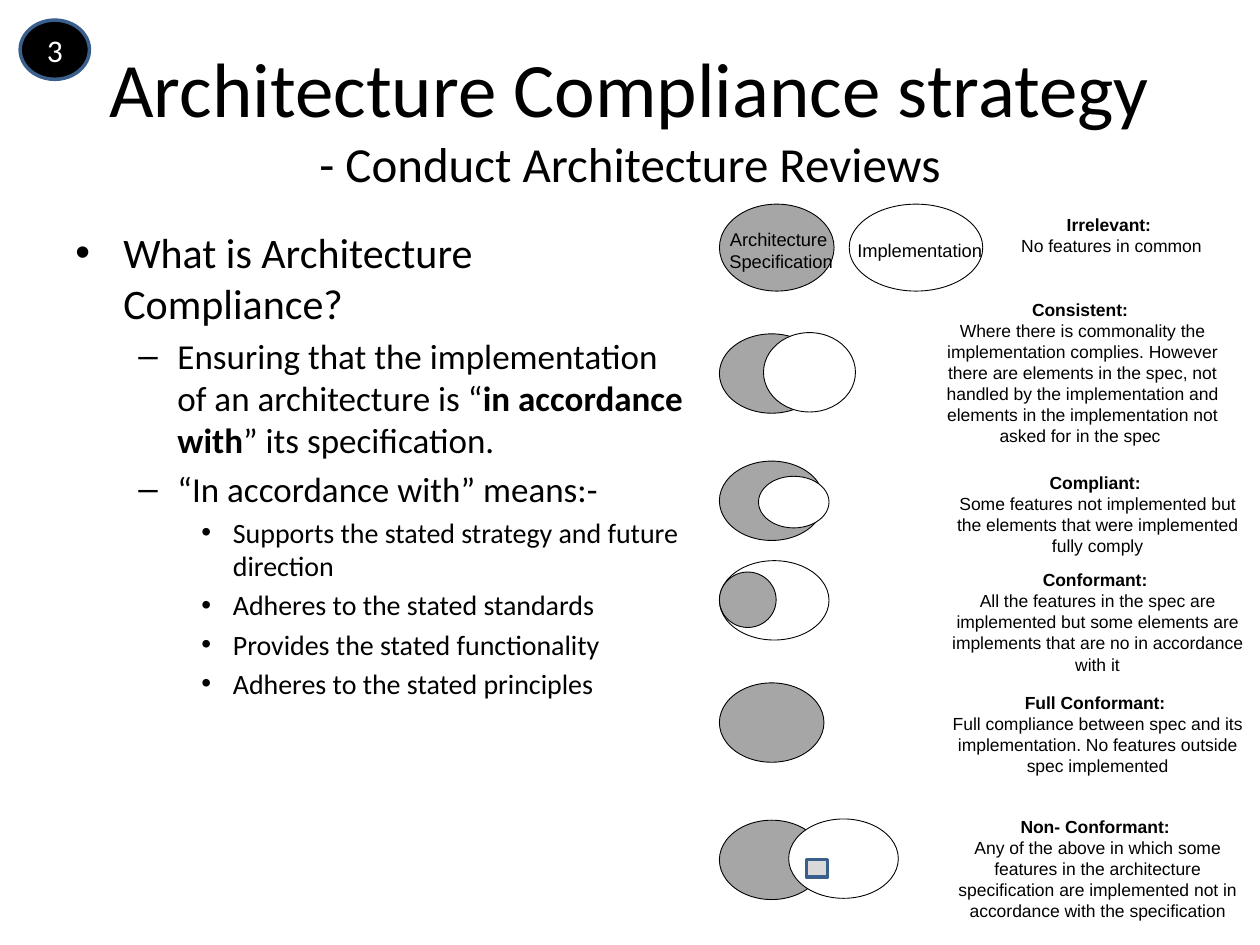
from lxml import etree
from pptx import Presentation
from pptx import util as u
from pptx.dml.color import RGBColor
from pptx.enum import shapes, text
from pptx.oxml.ns import qn

COLOURS = {"ink": "000000", "paper": "FFFFFF", "spec": "A6A6A6",
           "overlap": "D9D9D9", "accent": "3A5F8C"}
OVAL = shapes.MSO_SHAPE.OVAL
RECTANGLE = shapes.MSO_SHAPE.RECTANGLE
DIAGRAM_LEFT = 5.71

# left indent, hanging indent, size, bullet for each level
LEVELS = [(0.38, 0.38, 24, "•"), (0.81, 0.31, 20, "–"), (1.25, 0.25, 16, "•")]
BODY = [
    (0, [("What is Architecture Compliance?", False)]),
    (1, [("Ensuring that the implementation of an architecture is “", False),
         ("in accordance with", True), ("” its specification.", False)]),
    (1, [("“In accordance with” means:-", False)]),
    (2, [("Supports the stated strategy and future direction", False)]),
    (2, [("Adheres to the stated standards", False)]),
    (2, [("Provides the stated functionality", False)]),
    (2, [("Adheres to the stated principles", False)]),
]

# Each case: top, ovals (dx, dy, width, height, fill), then its caption
# (left, top, width, height, wrap, heading, paragraphs)
CASES = [
    (1.62, [(0, 0, 0.91, 0.69, "spec"), (1.03, 0, 1.06, 0.69, None)],
     (8, 1.65, 1.64, 0.44, False, "Irrelevant: ", ["No features in common"])),
    (2.65, [(0, 0, 0.83, 0.63, "spec"), (0.35, -0.01, 0.73, 0.63, "paper")],
     (7.3, 2.32, 2.58, 1.28, True, "Consistent: ",
      ["Where there is commonality the implementation complies. However there "
       "are elements in the spec, not handled by the implementation and "
       "elements in the implementation not asked for in the spec "])),
    (3.66, [(0, 0, 0.83, 0.63, "spec"), (0.31, 0.12, 0.56, 0.41, "paper")],
     (7.42, 3.7, 2.58, 0.77, True, "Compliant: ",
      ["Some features not implemented but the elements that were implemented "
       "fully comply"])),
    (4.45, [(0, 0, 0.87, 0.63, "paper"), (0, 0.09, 0.45, 0.44, "spec")],
     (7.42, 4.47, 2.58, 0.94, True, "Conformant: ",
      ["All the features in the spec are implemented but some elements are "
       "implements that are no in accordance with it"])),
    (5.42, [(0, 0, 0.83, 0.63, "spec")],
     (7.42, 5.44, 2.58, 0.77, True, "Full Conformant: ",
      ["Full compliance between spec and its implementation. No features "
       "outside spec implemented"])),
    (6.51, [(0, 0, 0.83, 0.63, "spec"), (0.55, -0.01, 0.87, 0.63, "paper")],
     (7.42, 6.43, 2.58, 0.94, True, "Non- Conformant: ",
      ["Any of the above in which some features in the architecture "
       "specification are implemented not in",
       "accordance with the specification"])),
]


def colour(name):
    return RGBColor.from_string(COLOURS[name])


def add_run(paragraph, content, size, font="Calibri", ink="ink", bold=False):
    run = paragraph.add_run()
    run.text = content
    values = {"name": font, "size": u.Pt(size), "bold": bold}
    for name, value in values.items():
        setattr(run.font, name, value)
    run.font.color.rgb = colour(ink)


def add_figure(slide, kind, box, fill, line="ink", width=0.5):
    shape = slide.shapes.add_shape(kind, *map(u.Inches, box))
    shape.shadow.inherit = False
    if fill:
        shape.fill.solid()
        shape.fill.fore_color.rgb = colour(fill)
    else:
        shape.fill.background()
    shape.line.color.rgb = colour(line)
    shape.line.width = u.Pt(width)
    return shape


def add_text_frame(slide, box, wrap=True, anchor=text.MSO_ANCHOR.TOP):
    frame = slide.shapes.add_textbox(*map(u.Inches, box)).text_frame
    values = {"word_wrap": wrap, "vertical_anchor": anchor}
    for name, value in values.items():
        setattr(frame, name, value)
    return frame


def add_centred_lines(slide, box, wrap, size, lines):
    frame = add_text_frame(slide, box, wrap)
    frame.auto_size = text.MSO_AUTO_SIZE.SHAPE_TO_FIT_TEXT
    for index, (content, bold) in enumerate(lines):
        paragraph = frame.add_paragraph() if index else frame.paragraphs[0]
        paragraph.alignment = text.PP_ALIGN.CENTER
        add_run(paragraph, content, size, "Arial", bold=bold)


def add_title(slide, box):
    frame = add_text_frame(slide, box, anchor=text.MSO_ANCHOR.MIDDLE)
    paragraph = frame.paragraphs[0]
    paragraph.alignment = text.PP_ALIGN.CENTER
    add_run(paragraph, "Architecture Compliance strategy", 44)
    paragraph.add_line_break()
    add_run(paragraph, "- Conduct Architecture Reviews", 28)


def add_number(slide, box):
    shape = add_figure(slide, OVAL, box, "ink", "accent", 2)
    frame = shape.text_frame
    frame.vertical_anchor = text.MSO_ANCHOR.MIDDLE
    frame.paragraphs[0].alignment = text.PP_ALIGN.CENTER
    add_run(frame.paragraphs[0], "3", 18, ink="paper")


def add_body(slide, box):
    frame = add_text_frame(slide, box)
    for index, (level, runs) in enumerate(BODY):
        paragraph = frame.add_paragraph() if index else frame.paragraphs[0]
        left, hanging, size, bullet = LEVELS[level]
        paragraph.level = level
        paragraph.space_before = u.Pt(size * 0.2)
        # Hanging bullet
        properties = paragraph._p.get_or_add_pPr()
        properties.set("marL", str(u.Inches(left)))
        properties.set("indent", str(-u.Inches(hanging)))
        etree.SubElement(properties, qn("a:buFont")).set("typeface", "Arial")
        etree.SubElement(properties, qn("a:buChar")).set("char", bullet)
        for content, bold in runs:
            add_run(paragraph, content, size, bold=bold)


def add_case(slide, left, top, ovals, caption):
    for dx, dy, width, height, fill in ovals:
        add_figure(slide, OVAL, (left + dx, top + dy, width, height), fill)
    *box, wrap, heading, paragraphs = caption
    lines = [(heading, True)] + [(content, False) for content in paragraphs]
    add_centred_lines(slide, box, wrap, 10, lines)


def main():
    presentation = Presentation()
    presentation.slide_width = u.Inches(10)
    presentation.slide_height = u.Inches(7.5)
    slide = presentation.slides.add_slide(presentation.slide_layouts[6])

    add_title(slide, (0.5, 0.3, 9, 1.25))
    add_body(slide, (0.5, 1.75, 5.05, 4.95))
    add_number(slide, (0.16, 0.16, 0.55, 0.47))

    # Compliance cases, top to bottom
    for top, ovals, caption in CASES:
        add_case(slide, DIAGRAM_LEFT, top, ovals, caption)

    # Names of the two sets, and the part that breaks the specification
    add_centred_lines(slide, (5.66, 1.76, 1.08, 0.47), False, 10.5,
                      [("Architecture ", False), ("Specification", False)])
    add_centred_lines(slide, (6.67, 1.85, 1.26, 0.29), False, 10.5,
                      [("Implementation", False)])
    add_figure(slide, RECTANGLE, (6.4, 6.82, 0.17, 0.14), "overlap", "accent", 2)

    presentation.save("out.pptx")


if __name__ == "__main__":
    main()
